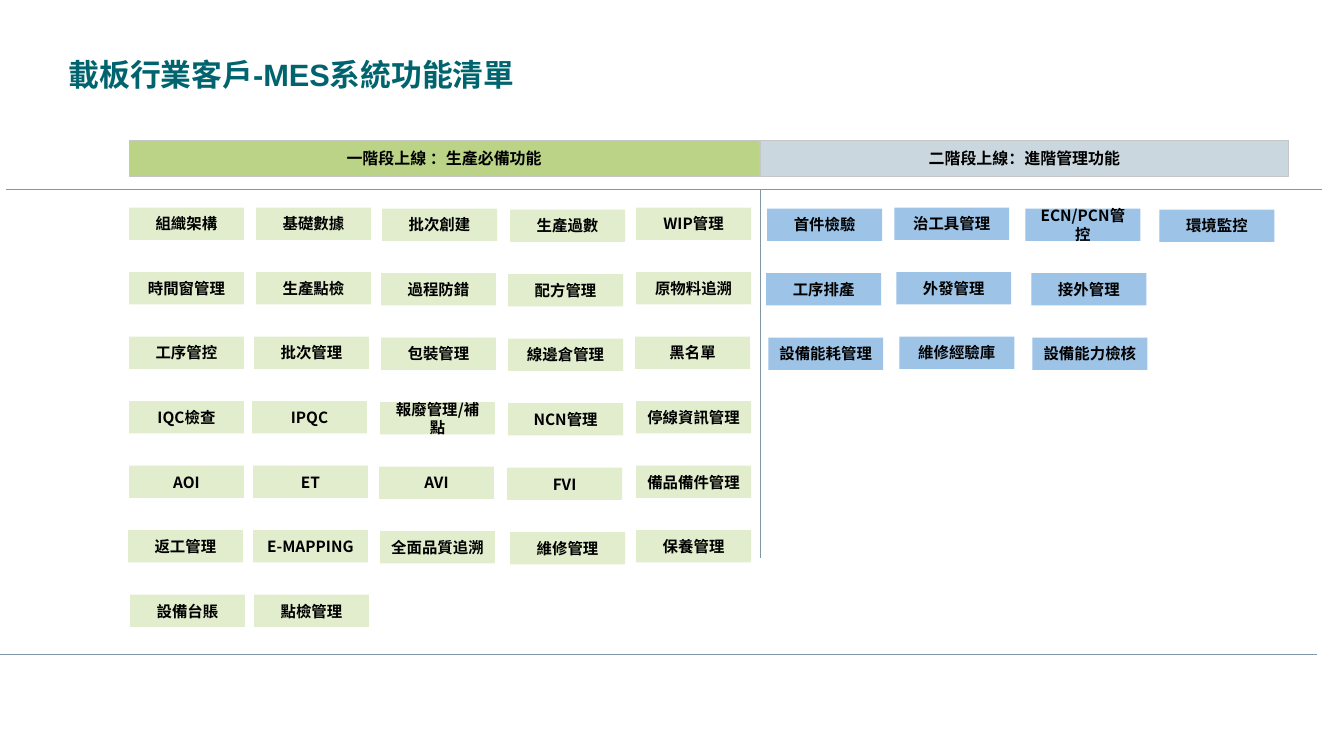
import pptx
import pptx.util
import pptx.dml.color
import pptx.enum.shapes
import pptx.enum.text
import pptx.oxml.ns
import lxml.etree

PX = 9144  # EMU per px, 100 px to the inch
TEXT = pptx.enum.text
qn = pptx.oxml.ns.qn


def color(code):
    return pptx.dml.color.RGBColor.from_string(code)


class Board:
    """Holds the style and the current slide."""
    font = "Noto Sans CJK SC"
    ink = "000000"
    rule = "8297A6"
    edge = "C6C6C6"

    def __init__(self, deck):
        self.slide = deck.slides.add_slide(deck.slide_layouts[5])
        self.shapes = self.slide.shapes

    def label(self, frame, text, size, name, ink, align, insets):
        sides = ("margin_left", "margin_top", "margin_right", "margin_bottom")
        for side, gap in zip(sides, insets):
            setattr(frame, side, gap * PX)
        frame.word_wrap = True
        frame.auto_size = TEXT.MSO_AUTO_SIZE.NONE
        frame.text = text
        para = frame.paragraphs[0]
        para.alignment = align
        font = para.font
        font.size = pptx.util.Pt(size)
        font.bold = True
        font.name = name
        font.color.rgb = color(ink)
        # East Asian glyphs follow the Latin face in the schema order
        latin = para._p.pPr.find(".//" + qn("a:latin"))
        east = lxml.etree.Element(qn("a:ea"), typeface=self.font)
        latin.addnext(east)
        return para

    def title(self, text, x, y, w, h):
        head = self.shapes.title
        head.left, head.top, head.width, head.height = (
            n * PX for n in (x, y, w, h))
        frame = head.text_frame
        frame.vertical_anchor = TEXT.MSO_ANCHOR.TOP
        para = self.label(frame, text, 22, "Arial", "00646E",
                          TEXT.PP_ALIGN.LEFT, (69, 47, 232, 26))
        para._p.pPr.set("marL", str(37 * PX))
        para._p.pPr.set("indent", str(-37 * PX))

    def box(self, text, x, y, w, h, fill, size=11, edge=None, alpha=None):
        kind = pptx.enum.shapes.MSO_SHAPE.RECTANGLE
        box = self.shapes.add_shape(kind, *(n * PX for n in (x, y, w, h)))
        box.shadow.inherit = False
        box.fill.solid()
        box.fill.fore_color.rgb = color(fill)
        if alpha:
            tint = box._element.spPr.find(".//" + qn("a:srgbClr"))
            lxml.etree.SubElement(tint, qn("a:alpha"), val=str(alpha * 1000))
        if edge:
            box.line.color.rgb = color(edge)
            box.line.width = pptx.util.Pt(0.75)
        else:
            box.line.fill.background()
        box.text_frame.vertical_anchor = TEXT.MSO_ANCHOR.MIDDLE
        self.label(box.text_frame, text, size, self.font, self.ink,
                   TEXT.PP_ALIGN.CENTER, (10, 5, 10, 5))

    def banner(self, text, x, w, fill):
        self.box(text, x, 139, w, 36, fill, 11.4, self.edge, 80)

    def tiles(self, rows, drops, fill):
        for r, row in enumerate(rows):
            for (x, text), drop in zip(row, drops):
                self.box(text, x, 206 + 64 * r + drop, 114, 32, fill)

    def line(self, x1, y1, x2, y2):
        kind = pptx.enum.shapes.MSO_CONNECTOR.STRAIGHT
        line = self.shapes.add_connector(
            kind, *(n * PX for n in (x1, y1, x2, y2)))
        line.line.color.rgb = color(self.rule)
        line.line.width = pptx.util.Pt(0.75)
        lxml.etree.SubElement(line._element.spPr, qn("a:effectLst"))


# Tiles of each phase, row by row: left edge and label
BASE = [
    [(128, "組織架構"), (254, "基礎數據"), (379, "批次創建"),
     (506, "生產過數"), (631, "WIP管理")],
    [(128, "時間窗管理"), (254, "生產點檢"), (378, "過程防錯"),
     (504, "配方管理"), (631, "原物料追溯")],
    [(128, "工序管控"), (252, "批次管理"), (378, "包裝管理"),
     (504, "線邊倉管理"), (630, "黑名單")],
    [(128, "IQC檢查"), (250, "IPQC"), (377, "報廢管理/補點"),
     (504, "NCN管理"), (631, "停線資訊管理")],
    [(128, "AOI"), (251, "ET"), (376, "AVI"), (503, "FVI"),
     (631, "備品備件管理")],
    [(127, "返工管理"), (251, "E-MAPPING"), (377, "全面品質追溯"),
     (506, "維修管理"), (631, "保養管理")],
    [(129, "設備台賬"), (252, "點檢管理")],
]
MORE = [
    [(761, "首件檢驗"), (887, "治工具管理"), (1017, "ECN/PCN管控"),
     (1150, "環境監控")],
    [(760, "工序排產"), (889, "外發管理"), (1023, "接外管理")],
    [(762, "設備能耗管理"), (892, "維修經驗庫"), (1024, "設備能力檢核")],
]


def main():
    deck = pptx.Presentation()
    deck.slide_width, deck.slide_height = 1333 * PX, 750 * PX
    board = Board(deck)
    board.title("載板行業客戶-MES系統功能清單", -1, 8, 1333, 157)

    # Phase banners
    board.banner("一階段上線 ：生產必備功能", 128, 625, "A9C968")
    board.banner("二階段上線：進階管理功能", 754, 524, "BECDD7")

    # Function tiles, with a small drop for each column
    board.tiles(BASE, (0, 0, 1, 2, 0), "E1EDCD")
    board.tiles(MORE, (1, 0, 1, 2), "9DC3E6")

    # Rules
    board.line(0, 649, 1306, 649)
    board.line(6, 188, 1311, 188)
    board.line(754, 188, 754, 554)

    deck.save("out.pptx")


if __name__ == "__main__":
    main()
